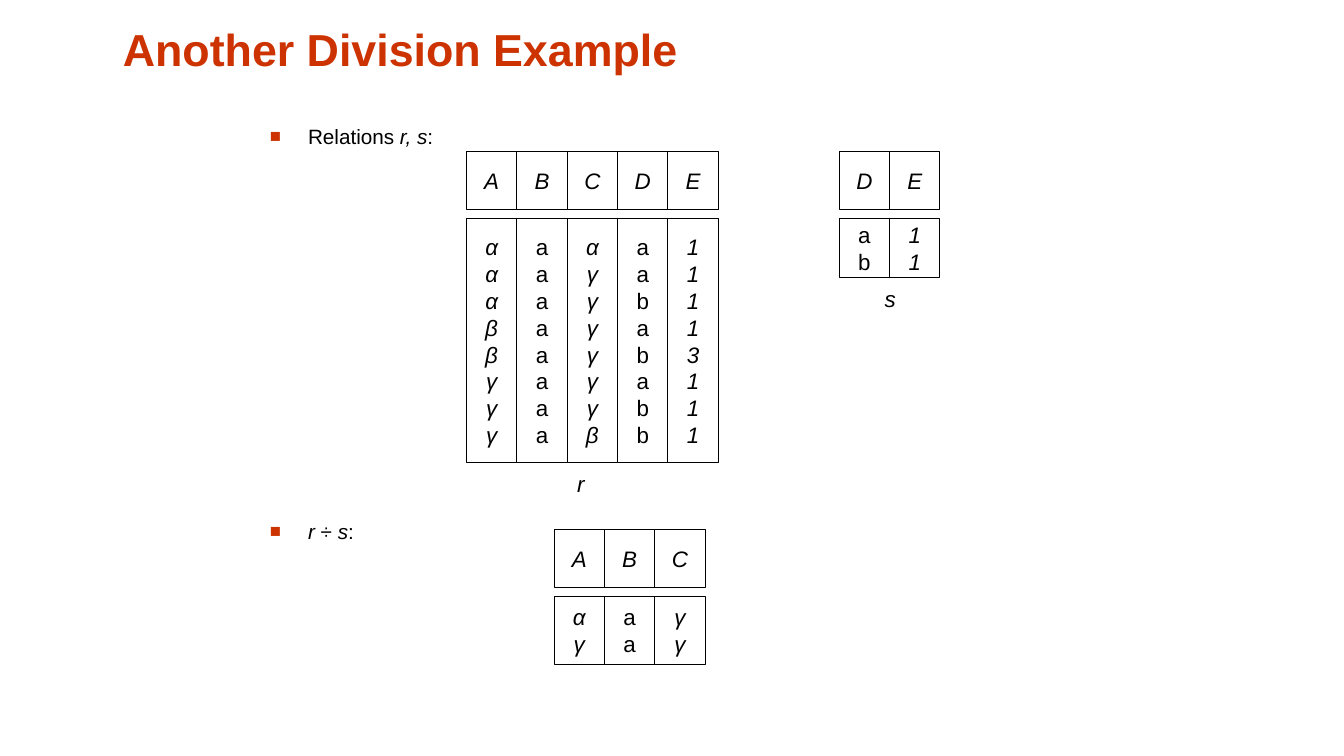
from lxml import etree
from pptx import Presentation
from pptx import util as u
from pptx.dml.color import RGBColor
from pptx.enum import shapes, text
from pptx.oxml import ns

RED = RGBColor(0xCC, 0x33, 0x00)
BLACK = RGBColor(0, 0, 0)
WHITE = RGBColor(0xFF, 0xFF, 0xFF)

PX = 9144  # EMU per px, 100 px to the inch
COLUMN_WIDTH = 50
HEADER_HEIGHT = 58
BODY_OFFSET = 67


class RelationSlide:
    font = "Arial"
    cell_size = 16
    bullet_size = 14.8
    title_size = 32

    def __init__(self, deck):
        self.slide = deck.slides.add_slide(deck.slide_layouts[6])

    def style(self, run, size, color=BLACK, bold=False, italic=False):
        run.font.name = self.font
        run.font.size = u.Pt(size)
        run.font.color.rgb = color
        run.font.bold = bold
        run.font.italic = italic

    def text_box(self, left, top, width, height, wrap=True):
        box = self.slide.shapes.add_textbox(*(n * PX for n in (left, top, width, height)))
        box.text_frame.word_wrap = wrap
        return box.text_frame

    def title(self, wording, left, top, width, height):
        frame = self.text_box(left, top, width, height)
        frame.vertical_anchor = text.MSO_ANCHOR.BOTTOM
        frame.text = wording
        self.style(frame.paragraphs[0].runs[0], self.title_size, RED, bold=True)

    def bullet(self, parts, left, top, width, height):
        """Add a square-bulleted line from (wording, italic) parts."""
        line = self.text_box(left, top, width, height).paragraphs[0]
        line.space_before = u.Pt(7)
        for wording, italic in parts:
            run = line.add_run()
            run.text = wording
            self.style(run, self.bullet_size, italic=italic)
        props = line._p.get_or_add_pPr()
        props.set("marL", str(38 * PX))
        props.set("indent", str(-38 * PX))
        color = etree.SubElement(props, ns.qn("a:buClr"))
        etree.SubElement(color, ns.qn("a:srgbClr"), val=str(RED))
        etree.SubElement(props, ns.qn("a:buSzPct"), val="90000")
        etree.SubElement(props, ns.qn("a:buFont"), typeface=self.font)
        etree.SubElement(props, ns.qn("a:buChar"), char="■")

    def caption(self, name, left, top, width, height):
        frame = self.text_box(left, top, width, height, wrap=False)
        frame.auto_size = text.MSO_AUTO_SIZE.SHAPE_TO_FIT_TEXT
        frame.vertical_anchor = text.MSO_ANCHOR.MIDDLE
        frame.text = name
        line = frame.paragraphs[0]
        line.alignment = text.PP_ALIGN.CENTER
        line.space_before = u.Pt(10)
        self.style(line.runs[0], self.cell_size, italic=True)

    def cell(self, values, left, top, height):
        """Add a framed box with one value per line; a and b stay upright."""
        box = self.slide.shapes.add_shape(
            shapes.MSO_SHAPE.RECTANGLE,
            left * PX, top * PX, COLUMN_WIDTH * PX, height * PX)
        box.shadow.inherit = False
        box.fill.solid()
        box.fill.fore_color.rgb = WHITE
        box.line.color.rgb = BLACK
        box.line.width = u.Pt(0.75)
        frame = box.text_frame
        frame.word_wrap = False
        frame.vertical_anchor = text.MSO_ANCHOR.MIDDLE
        frame.text = "\n".join(values)
        for line in frame.paragraphs:
            line.alignment = text.PP_ALIGN.CENTER
            self.style(line.runs[0], self.cell_size, italic=line.text not in "ab")

    def relation(self, columns, left, top, body_height):
        """Add a header and a body box for each attribute and its values."""
        for i, (attribute, values) in enumerate(columns.items()):
            x = left + i * COLUMN_WIDTH
            self.cell(attribute, x, top, HEADER_HEIGHT)
            self.cell(values, x, top + BODY_OFFSET, body_height)


def main():
    deck = Presentation()
    deck.slide_width = 1334 * PX
    deck.slide_height = 750 * PX
    page = RelationSlide(deck)

    page.title("Another Division Example", 112, 13, 1178, 67)

    page.bullet([("Relations ", False), ("r, s", True), (":", False)], 258, 118, 233, 36)
    dividend = {"A": "αααββγγγ", "B": "aaaaaaaa", "C": "αγγγγγγβ",
                "D": "aabababb", "E": "11113111"}
    page.relation(dividend, 463, 150, 242)
    page.caption("r", 563, 461, 27, 37)
    divisor = {"D": "ab", "E": "11"}
    page.relation(divisor, 833, 150, 58)
    page.caption("s", 868, 278, 31, 37)

    page.bullet([("r ", True), ("÷ ", False), ("s", True), (":", False)], 258, 510, 142, 36)
    quotient = {"A": "αγ", "B": "aa", "C": "γγ"}
    page.relation(quotient, 550, 525, 67)

    deck.save("out.pptx")


if __name__ == "__main__":
    main()
